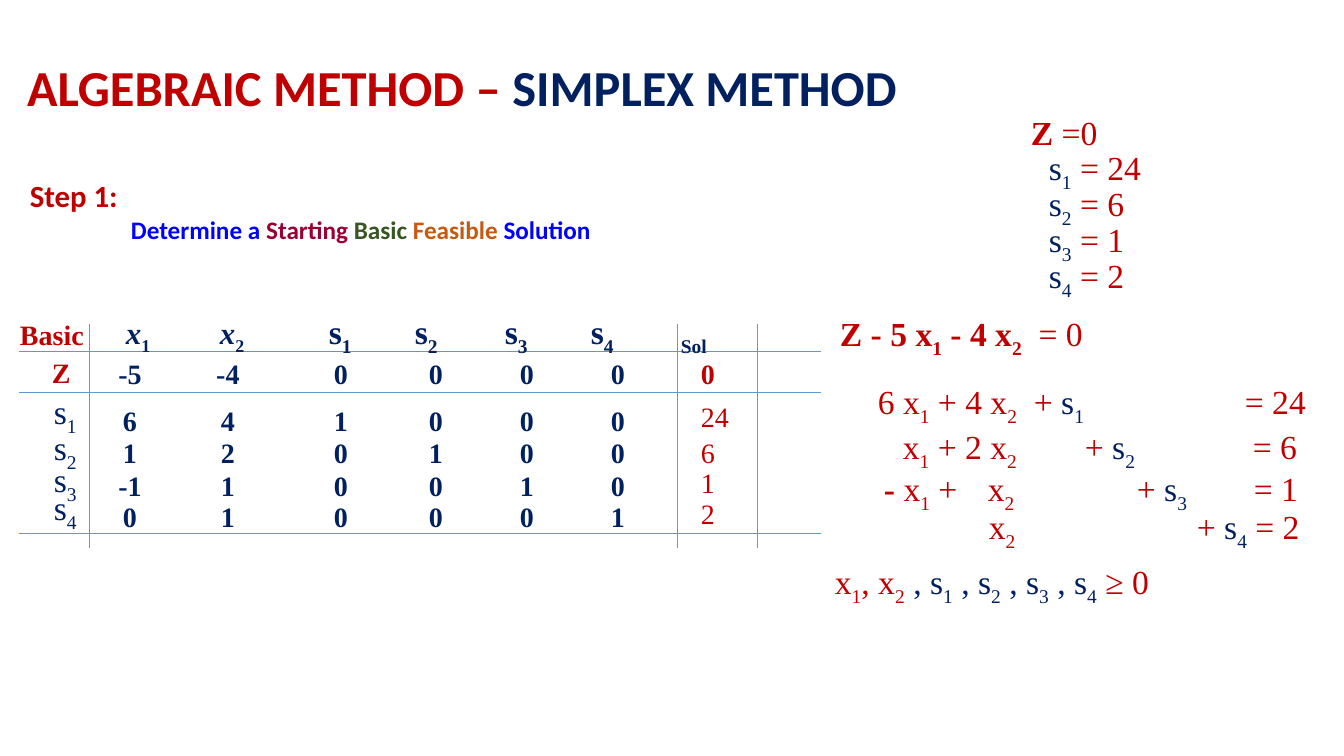
from pptx import Presentation
from pptx.dml.color import RGBColor
from pptx.enum.shapes import MSO_CONNECTOR
from pptx.enum.text import MSO_ANCHOR, PP_ALIGN
from pptx.oxml.ns import qn
from pptx.util import Emu, Pt
from lxml.etree import SubElement

PX = 914400 / 100.8
RED, NAVY, BLUE = "C00000", "002060", "0000FF"
SERIF, SANS = "Times New Roman", "Calibri"
INSET = 10  # side inset of every text box, in px

COLUMN_CENTERS = [130, 228, 341, 436, 527, 618]
HEADER_LEFTS = [126, 220, 329, 415, 505, 591, 681]

# basic variable, its top, coefficients, their top, solution, its top
TABLEAU = [
    ("s_1", 387, "6 4 1 0 0 0", 402, "24", 398),
    ("s_2", 423, "1 2 0 1 0 0", 434, "6", 434),
    ("s_3", 455, "-1 1 0 0 1 0", 467, "1", 464),
    ("s_4", 483, "0 1 0 0 0 1", 498, "2", 495),
]

# top, left edges of the parts, spans
EQUATIONS = [
    (377, [878, 1245], [("6 x_1 + 4 x_2  + ", RED), ("s_1", NAVY), ("\t= 24", RED)]),
    (422, [903, 1085, 1253],
     [("x_1 + 2 x_2\t+ ", RED), ("s_2", NAVY), ("\t= 6", RED)]),
    (464, [884, 988, 1137, 1254],
     [("- ", RED, {"bold": True}), ("x_1 +\tx_2\t+ ", RED), ("s_3", NAVY), ("\t= 1", RED)]),
    (502, [989, 1197], [("x_2\t+ ", RED), ("s_4", NAVY), (" = 2", RED)]),
]


def px(length):
    return Emu(round(length * PX))


def rgb(value):
    return RGBColor.from_string(value)


def add_span(para, text, colour, subscript=False, **formats):
    span = para.add_run()
    span.text = text
    for name, value in formats.items():
        setattr(span.font, name, value)
    span.font.color.rgb = rgb(colour)
    if subscript:
        span.font._element.set("baseline", "-25000")


def add_spans(para, spans, **formats):
    """Write spans of (text, colour, extra formats); _ lowers the next character."""
    for text, colour, *extra in spans:
        style = formats | (extra[0] if extra else {})
        first, *pieces = text.split("_")
        if first:
            add_span(para, first, colour, **style)
        for piece in pieces:
            add_span(para, piece[0], colour, **style | {"subscript": True, "italic": False})
            if piece[1:]:
                add_span(para, piece[1:], colour, **style)


def set_tabs(para, stops, align="l"):
    tabs = SubElement(para._p.get_or_add_pPr(), qn("a:tabLst"))
    for stop in stops:
        SubElement(tabs, qn("a:tab"), pos=str(px(stop)), algn=align)


def add_text(page, left, top, width, height, spans, stops=(), align="l", **formats):
    """Add one serif line whose text starts at left; stops are page positions."""
    box = page.shapes.add_textbox(px(left - INSET), px(top), px(width), px(height))
    box.text_frame.word_wrap = True
    para = box.text_frame.paragraphs[0]
    para.line_spacing = 0.9
    if stops:
        set_tabs(para, [stop - left for stop in stops], align)
    add_spans(para, spans, **{"name": SERIF, "size": Pt(24)} | formats)


def add_rule(page, x1, y1, x2, y2):
    rule = page.shapes.add_connector(MSO_CONNECTOR.STRAIGHT, px(x1), px(y1), px(x2), px(y2))
    rule.line.color.rgb = rgb("5B9BD5")
    rule.line.width = Pt(0.75)
    SubElement(rule._element.spPr, qn("a:effectLst"))


def add_title(page):
    title = page.shapes.title
    place = {"left": 17, "top": 52, "width": 1126, "height": 71}
    for name, value in place.items():
        setattr(title, name, px(value))
    title.text_frame.vertical_anchor = MSO_ANCHOR.BOTTOM
    para = title.text_frame.paragraphs[0]
    para.alignment = PP_ALIGN.LEFT
    para.line_spacing = 0.9
    add_spans(para, [("ALGEBRAIC METHOD – ", RED), ("SIMPLEX METHOD", NAVY)],
              name=SANS, size=Pt(36), bold=True)


def add_step(page):
    box = page.shapes.add_textbox(px(20), px(172), px(618), px(78))
    box.text_frame.word_wrap = True
    step = box.text_frame.paragraphs[0]
    add_spans(step, [("Step 1:", RED)], name=SANS, size=Pt(22), bold=True)
    goal = box.text_frame.add_paragraph()
    set_tabs(goal, [101])
    add_spans(goal, [("\tDetermine a ", BLUE), ("Starting ", "990033"), ("Basic ", "385623"),
                     ("Feasible", "C55A11"), (" Solution", BLUE)],
              name=SANS, size=Pt(18), bold=True)


def add_coefficients(page, top, values):
    cells = "".join("\t" + value for value in values.split())
    add_text(page, 110, top, 565, 36, [(cells, NAVY)], COLUMN_CENTERS, "ctr",
             size=Pt(20), bold=True)


def add_tableau(page):
    for y in (352, 393, 534):
        add_rule(page, 19, y, 821, y)
    for x in (90, 678, 758):
        add_rule(page, x, 324, x, 548)

    small_bold = {"size": Pt(20), "bold": True}
    italic = {"size": Pt(22), "italic": True}
    add_text(page, 20, 316, 85, 42, [("Basic", RED)], **small_bold)
    add_text(page, HEADER_LEFTS[0], 307, 660, 42,
             [("x_1\tx_2", NAVY, italic), ("\ts_1\ts_2\ts_3\ts_4\t", NAVY),
              ("Sol", NAVY, {"subscript": True})],
             HEADER_LEFTS[1:], bold=True)
    add_text(page, 52, 354, 43, 42, [("Z", RED)], **small_bold)
    add_coefficients(page, 355, "-5 -4 0 0 0 0")
    add_text(page, 701, 355, 74, 38, [("0", RED)], **small_bold)
    for label, label_top, values, values_top, solution, solution_top in TABLEAU:
        add_text(page, 54, label_top, 54, 59, [(label, NAVY)])
        add_coefficients(page, values_top, values)
        add_text(page, 701, solution_top, 74, 47, [(solution, RED)], size=Pt(20))


def add_constraints(page):
    add_text(page, 840, 309, 448, 59,
             [("Z - 5 x_1 - 4 x_2  ", RED, {"bold": True}), ("= 0", RED)])
    for top, (left, *stops), spans in EQUATIONS:
        add_text(page, left, top, 1344 - left, 59, spans, stops)
    add_text(page, 835, 557, 356, 47,
             [("x_1, x_2 ", RED), (", s_1 , s_2 , s_3 , s_4 ", NAVY), ("≥ 0", RED)])


def add_starting_solution(page):
    add_text(page, 1031, 111, 206, 46, [("Z ", RED, {"bold": True}), ("=0", RED)])
    for index, value in enumerate([24, 6, 1, 2]):
        add_text(page, 1049, 143 + 36 * index, 140, 59,
                 [(f"s_{index + 1}", NAVY), (f" = {value}", RED)])


def main():
    deck = Presentation()
    deck.slide_width, deck.slide_height = px(1344), px(756)
    page = deck.slides.add_slide(deck.slide_layouts[5])
    add_title(page)
    add_step(page)
    add_constraints(page)
    add_starting_solution(page)
    add_tableau(page)
    deck.save("out.pptx")


if __name__ == "__main__":
    main()
